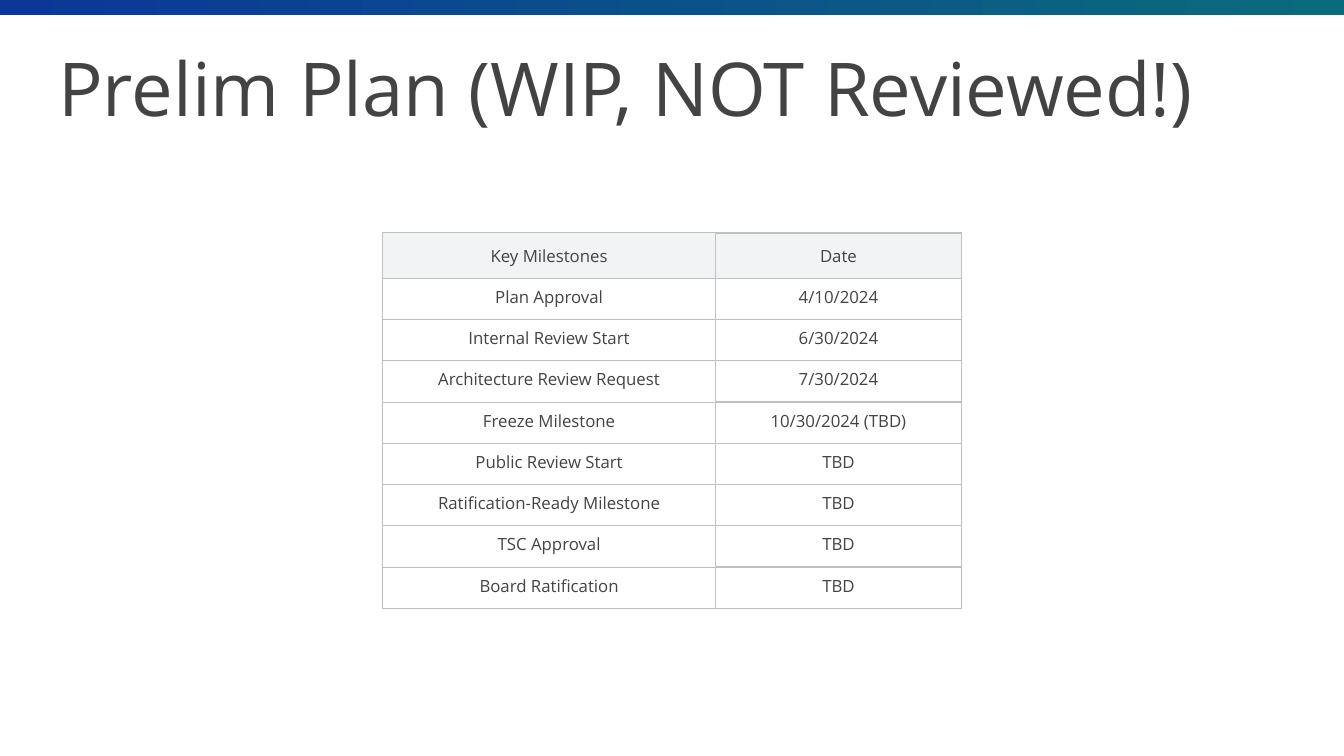
from lxml import etree
from pptx import Presentation
from pptx.dml.color import RGBColor
from pptx.enum.shapes import MSO_SHAPE
from pptx.enum.text import MSO_ANCHOR, PP_ALIGN
from pptx.oxml.ns import qn
from pptx.util import Cm, Pt

RECTANGLE = MSO_SHAPE.RECTANGLE
TOP, MIDDLE = MSO_ANCHOR.TOP, MSO_ANCHOR.MIDDLE
LEFT, CENTER = PP_ALIGN.LEFT, PP_ALIGN.CENTER

FONT = "Open Sans"
INK = RGBColor(0x43, 0x43, 0x43)
BLUE = RGBColor(0x0A, 0x37, 0x99)
TEAL = RGBColor(0x0A, 0x6B, 0x7C)
HEADER_GREY = RGBColor(0xF1, 0xF3, 0xF4)
BORDER_GREY = RGBColor(0xBD, 0xC1, 0xC6)
WHITE = RGBColor(0xFF, 0xFF, 0xFF)

TITLE = "Prelim Plan (WIP, NOT Reviewed!)"
MILESTONES = [
    ("Key Milestones", "Date"),
    ("Plan Approval", "4/10/2024"),
    ("Internal Review Start", "6/30/2024"),
    ("Architecture Review Request", "7/30/2024"),
    ("Freeze Milestone", "10/30/2024 (TBD)"),
    ("Public Review Start", "TBD"),
    ("Ratification-Ready Milestone", "TBD"),
    ("TSC Approval", "TBD"),
    ("Board Ratification", "TBD"),
]
COLUMN_WIDTHS = [Cm(8.38), Cm(6.2)]
HEADER_HEIGHT, ROW_HEIGHT = Cm(1.14), Cm(1.04)
BORDER_WIDTHS = [
    {"L": 0.75, "R": 0.75, "T": 0.75, "B": 0.75},
    {"L": 0.75, "R": 1, "T": 1, "B": 1},
]


def write(frame, text, *, size, align=LEFT):
    paragraph = frame.paragraphs[0]
    paragraph.alignment = align
    run = paragraph.add_run()
    run.text = text
    run.font.name = FONT
    run.font.size = Pt(size)
    run.font.color.rgb = INK


def set_insets(holder, inset):
    holder.margin_left = holder.margin_right = inset
    holder.margin_top = holder.margin_bottom = inset


def set_borders(cell, widths):
    properties = cell._tc.get_or_add_tcPr()
    for position, (side, width) in enumerate(widths.items()):
        line = etree.Element(qn(f"a:ln{side}"), w=str(Pt(width)))
        fill = etree.SubElement(line, qn("a:solidFill"))
        etree.SubElement(fill, qn("a:srgbClr"), val=str(BORDER_GREY))
        properties.insert(position, line)


def add_top_band(slide, width):
    band = slide.shapes.add_shape(RECTANGLE, 0, 0, width, Cm(0.38))
    band.shadow.inherit = False
    band.line.fill.background()
    band.fill.gradient()
    band.fill.gradient_angle = 0
    for stop, color in zip(band.fill.gradient_stops, (BLUE, TEAL)):
        stop.color.rgb = color


def add_title(slide):
    title = slide.shapes.add_textbox(Cm(1.14), Cm(0.81), Cm(31.55), Cm(2.77))
    frame = title.text_frame
    frame.word_wrap = True
    frame.vertical_anchor = MIDDLE
    set_insets(frame, Cm(0.33))
    write(frame, TITLE, size=53)


def add_milestones(slide):
    heights = [HEADER_HEIGHT] + [ROW_HEIGHT] * (len(MILESTONES) - 1)
    plan = slide.shapes.add_table(
        len(MILESTONES), len(COLUMN_WIDTHS), Cm(9.65), Cm(5.87),
        sum(COLUMN_WIDTHS), sum(heights)).table
    for column, width in zip(plan.columns, COLUMN_WIDTHS):
        column.width = width
    for r, (entries, height) in enumerate(zip(MILESTONES, heights)):
        plan.rows[r].height = height
        for c, entry in enumerate(entries):
            cell = plan.cell(r, c)
            cell.fill.solid()
            cell.fill.fore_color.rgb = WHITE if r else HEADER_GREY
            cell.vertical_anchor = TOP if r else MIDDLE
            set_insets(cell, Cm(0.18))
            set_borders(cell, BORDER_WIDTHS[c])
            write(cell.text_frame, entry, size=12, align=CENTER)


def main():
    deck = Presentation()
    deck.slide_width, deck.slide_height = Cm(33.87), Cm(19.05)
    slide = deck.slides.add_slide(deck.slide_layouts[6])
    add_top_band(slide, deck.slide_width)
    add_title(slide)
    add_milestones(slide)
    deck.save("out.pptx")


if __name__ == "__main__":
    main()
